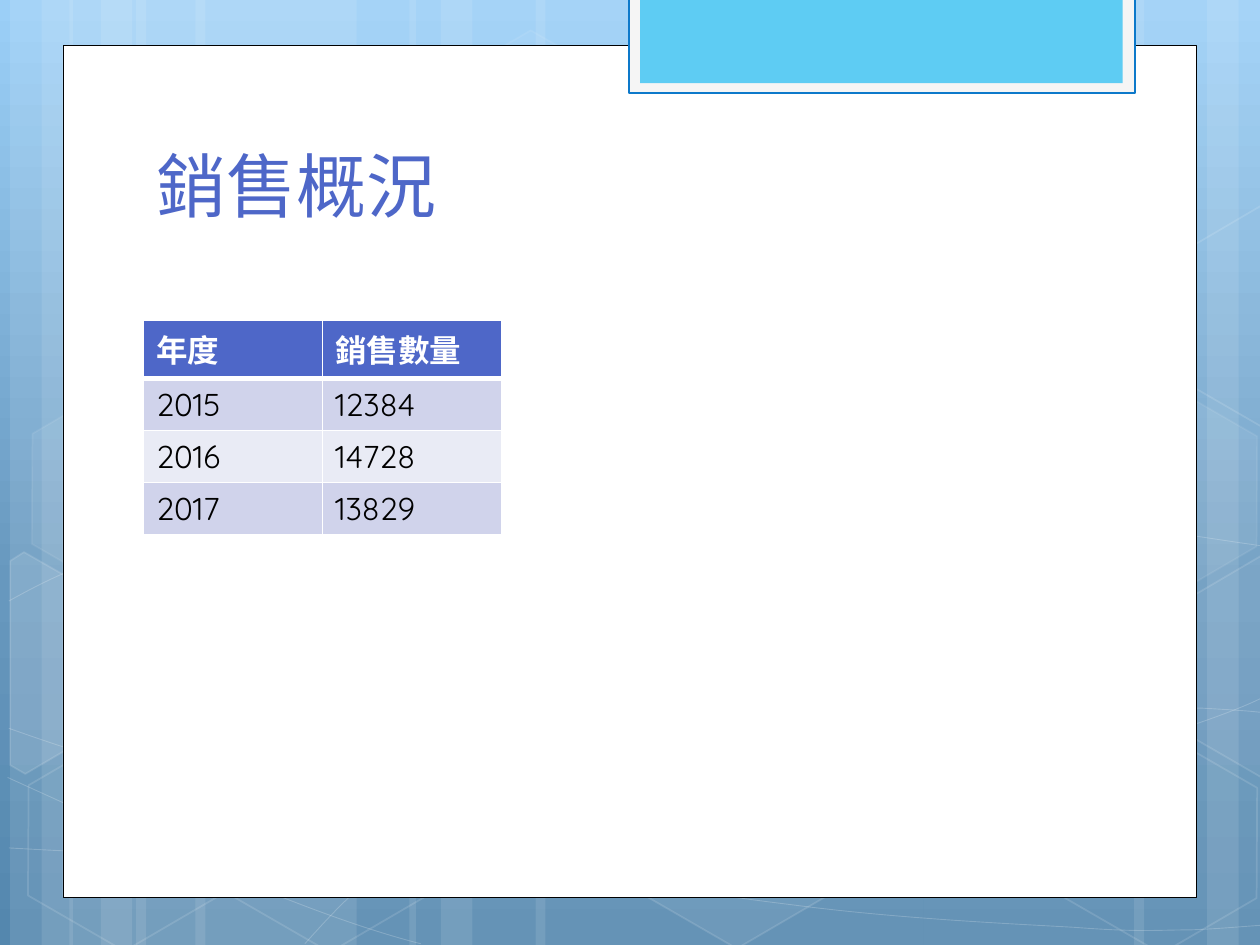
from dataclasses import dataclass
from math import cos, radians, sin

from lxml.etree import SubElement
from pptx import Presentation
from pptx.dml.color import RGBColor
from pptx.enum.shapes import MSO_SHAPE
from pptx.enum.text import MSO_ANCHOR, MSO_AUTO_SIZE, PP_ALIGN
from pptx.oxml.ns import qn
from pptx.util import Cm, Pt


@dataclass(frozen=True)
class Theme:
    """Colours, type sizes and font of the slide."""
    font: str = "Quicksand"
    title_size: int = 40
    table_size: int = 18
    white: str = "FFFFFF"
    black: str = "000000"
    accent: str = "4E67C8"
    tab_frame: str = "F5F5F5"
    tab_line: str = "0D79CA"
    tab: str = "5ECCF3"
    bands: tuple = ("D0D3EB", "E9EBF5")
    sky: tuple = ((0, "9BCFF7"), (62, "6798BE"), (100, "5487AE"))


THEME = Theme()
STRIPES = [(1.08, 1.75, 0), (0.08, 0.5, 0), (0.33, 0.83, 0), (1.55, 1.75, 0),
           (0.55, 0.5, 0), (0.8, 0.83, 0), (7.33, 1.75, 180), (9.58, 0.5, 180),
           (9, 0.83, 180), (4.25, 3.08, 0), (3.25, 0.5, 0), (3.5, 0.83, 0)]
CURVES = [
    ([(0.07, 6.73), (0.61, 6.76), (1.15, 6.79), (1.9, 6.78), (2.65, 6.77), (3.58, 6.75),
      (4.58, 6.65), (5.58, 6.55), (7, 6.36), (7.92, 6.17), (8.83, 5.98), (9.77, 5.68),
      (10.07, 5.51)], None),
    ([(0.07, 4.77), (0.36, 4.61), (0.65, 4.46), (1.21, 4.31), (1.78, 4.16), (2.59, 3.94),
      (3.47, 3.87), (4.36, 3.8), (5.44, 3.79), (6.54, 3.87), (7.64, 3.95), (9.47, 4.26),
      (10.07, 4.34)], None),
    ([(0.06, 6.17), (1.27, 6.72), (2.47, 7.27), (3.34, 7.49)], None),
    ([(0.07, 5.78), (0.38, 5.89), (0.7, 6), (1.28, 6.16), (1.86, 6.31), (2.73, 6.56),
      (3.57, 6.73), (4.4, 6.9), (5.45, 7.08), (6.28, 7.18), (7.11, 7.29), (8, 7.33),
      (8.53, 7.36), (9.05, 7.4), (9.19, 7.38), (9.45, 7.38), (9.71, 7.37), (9.89, 7.35),
      (10.07, 7.34)], None),
    ([(2.42, 7.49), (2.6, 7.29), (2.78, 7.09), (3.02, 6.91), (3.26, 6.73), (3.6, 6.53),
      (3.88, 6.39), (4.16, 6.25), (4.33, 6.19), (4.7, 6.09), (5.06, 5.99), (5.73, 5.85),
      (6.08, 5.78), (6.44, 5.71), (6.49, 5.71), (6.8, 5.69), (7.11, 5.66), (7.6, 5.63),
      (7.94, 5.62), (8.29, 5.61), (8.86, 5.62), (8.86, 5.62), (9.53, 5.62), (9.71, 5.63),
      (9.88, 5.64), (9.97, 5.65), (10.06, 5.66), (10.03, 5.65), (10.06, 5.66)], 21),
]
HEXAGONS = [(3.34, 0.36, 4, 8), (4.97, 5.89, 6, 12), (0.11, 5.91, 0, 12), (0.14, 3.12, 7, 8),
            (1.74, 5.92, 0, 12), (7.53, 4.53, 10, 12), (8.34, 5.93, 0, 12), (8.34, 3.14, 7, 8)]
CUT_HEXAGONS = [
    ([(0.08, 4.45), (0.19, 4.38), (0.96, 4.82), (0.95, 5.7), (0.2, 6.14), (0.08, 6.07)],
     (0.36, 5.35), 10),
    ([(9.26, 4.85), (10.01, 4.41), (10.09, 4.46), (10.09, 6.13), (10.02, 6.17), (9.26, 5.73)],
     (9.85, 5.2), 4),
    ([(9.26, 2.07), (10.01, 1.63), (10.1, 1.68), (10.09, 3.35), (10.02, 3.39), (9.26, 2.95)],
     (9.85, 2.41), 0),
]
TILT = 30
SALES = [("年度", "銷售數量"), ("2015", "12384"), ("2016", "14728"), ("2017", "13829")]


def cm(inches):
    """Turn inches into a Cm length."""
    return Cm(inches * 2.54)


def set_opacity(color_parent, percent):
    """Set the opacity of the solid colour below an element."""
    for color in color_parent.findall(f"{qn('a:solidFill')}/{qn('a:srgbClr')}"):
        SubElement(color, qn("a:alpha"), val=str(percent * 1000))


def add_styled(shape, fill=None, line=None, width=1, opacity=100, line_opacity=100):
    """Set fill, line and opacity of a shape, and drop its shadow."""
    shape.shadow.inherit = False
    properties = shape.element.spPr
    if fill and opacity:
        shape.fill.solid()
        shape.fill.fore_color.rgb = RGBColor.from_string(fill)
        if opacity < 100:
            set_opacity(properties, opacity)
    else:
        shape.fill.background()
    if line:
        shape.line.color.rgb = RGBColor.from_string(line)
        shape.line.width = Pt(width)
        if line_opacity < 100:
            set_opacity(properties.find(qn("a:ln")), line_opacity)
    else:
        shape.line.fill.background()
    return shape


def add_box(page, place, kind=MSO_SHAPE.RECTANGLE, **style):
    """Add a styled preset shape."""
    return add_styled(page.shapes.add_shape(kind, *map(cm, place)), **style)


def add_outline(page, points, close, **style):
    """Add a styled freeform through the given points."""
    start, *rest = [(cm(x), cm(y)) for x, y in points]
    builder = page.shapes.build_freeform(*start)
    builder.add_line_segments(rest, close=close)
    return add_styled(builder.convert_to_shape(), **style)


def bend(shape, straight):
    """Join each three line steps into a cubic curve, except the straight one."""
    steps = list(shape.element.iter(qn("a:lnTo")))
    first = 0
    while first < len(steps):
        if first == straight:
            first += 1
            continue
        head, *others = steps[first:first + 3]
        curve = SubElement(head.getparent(), qn("a:cubicBezTo"))
        head.addprevious(curve)
        for step in (head, *others):
            curve.append(step[0])
            step.getparent().remove(step)
        first += 3


def turn_back(points, center):
    """Turn points about a centre against the tilt."""
    cosine, sine = cos(radians(TILT)), sin(radians(TILT))
    offsets = [(x - center[0], y - center[1]) for x, y in points]
    return [(center[0] + x * cosine + y * sine, center[1] - x * sine + y * cosine)
            for x, y in offsets]


def add_background(page):
    """Fill the page with the vertical sky gradient."""
    fill = page.background.fill
    fill.gradient()
    fill.gradient_angle = 270
    stops = page.element.find(f".//{qn('a:gsLst')}")
    stops.clear()
    for position, color in THEME.sky:
        stop = SubElement(stops, qn("a:gs"), pos=str(position * 1000))
        SubElement(stop, qn("a:srgbClr"), val=color)


def add_decoration(page):
    """Draw the translucent stripes, curves and hexagons."""
    white = THEME.white
    for left, width, angle in STRIPES:
        add_box(page, (left, 0, width, 7.5), fill=white, opacity=10).rotation = angle
    for points, straight in CURVES:
        bend(add_outline(page, points, False, line=white, width=0.5, line_opacity=20), straight)
    for left, top, opacity, line_opacity in HEXAGONS:
        hexagon = add_box(page, (left, top, 1.75, 1.52), MSO_SHAPE.HEXAGON, fill=white,
                          line=white, opacity=opacity, line_opacity=line_opacity)
        hexagon.rotation = TILT
        hexagon.adjustments[0] = 0.285
    for points, center, opacity in CUT_HEXAGONS:
        add_outline(page, turn_back(points, center), True, fill=white, line=white,
                    opacity=opacity, line_opacity=12).rotation = TILT


def add_panel(page):
    """Draw the white panel and the tab at its top."""
    add_box(page, (0.5, 0.36, 9, 6.76), fill=THEME.white, line=THEME.black, width=0.5)
    add_box(page, (4.99, -0.02, 4.02, 0.76), fill=THEME.tab_frame, line=THEME.tab_line, width=1.25)
    add_box(page, (5.08, -0.02, 3.83, 0.68), fill=THEME.tab)


def format_text(para, size, color, bold=False):
    """Format the runs of a left-aligned paragraph."""
    para.alignment = PP_ALIGN.LEFT
    for span in para.runs:
        span.font.name, span.font.size, span.font.bold = THEME.font, Pt(size), bold
        span.font.color.rgb = RGBColor.from_string(color)


def add_title(page, text):
    """Fill the title placeholder and bring it to the front."""
    title = page.shapes.title
    title.left, title.top, title.width, title.height = map(cm, (1.14, 1.12, 7.68, 0.81))
    frame = title.text_frame
    frame.text = text
    frame.auto_size = MSO_AUTO_SIZE.NONE
    frame.vertical_anchor = MSO_ANCHOR.BOTTOM
    frame.margin_bottom = cm(0.13)
    format_text(frame.paragraphs[0], THEME.title_size, THEME.accent)
    title.element.getparent().append(title.element)


def add_borders(cell, **widths):
    """Draw white cell borders with the given widths in points."""
    properties = cell._tc.get_or_add_tcPr()
    for side, width in widths.items():
        line = SubElement(properties, qn(f"a:ln{side}"), w=str(Pt(width)))
        SubElement(SubElement(line, qn("a:solidFill")), qn("a:srgbClr"), val=THEME.white)


def add_sales_table(page):
    """Add the table of sales by year."""
    table = page.shapes.add_table(len(SALES), 2, *map(cm, (1.14, 2.54, 2.84, 1.62))).table
    for row, values in enumerate(SALES):
        header = row == 0
        for column, value in enumerate(values):
            cell = table.cell(row, column)
            cell.text_frame.text = value
            format_text(cell.text_frame.paragraphs[0], THEME.table_size,
                        THEME.white if header else THEME.black, header)
            add_borders(cell, L=1, R=1, T=3 if row == 1 else 1, B=3 if header else 1)
            cell.fill.solid()
            cell.fill.fore_color.rgb = RGBColor.from_string(
                THEME.accent if header else THEME.bands[(row - 1) % 2])


def main():
    """Build and save the deck."""
    deck = Presentation()
    deck.slide_width, deck.slide_height = cm(10), cm(7.5)
    page = deck.slides.add_slide(deck.slide_layouts[5])
    for add_part in (add_background, add_decoration, add_panel):
        add_part(page)
    add_title(page, "銷售概況")
    add_sales_table(page)
    deck.save("out.pptx")


if __name__ == "__main__":
    main()
